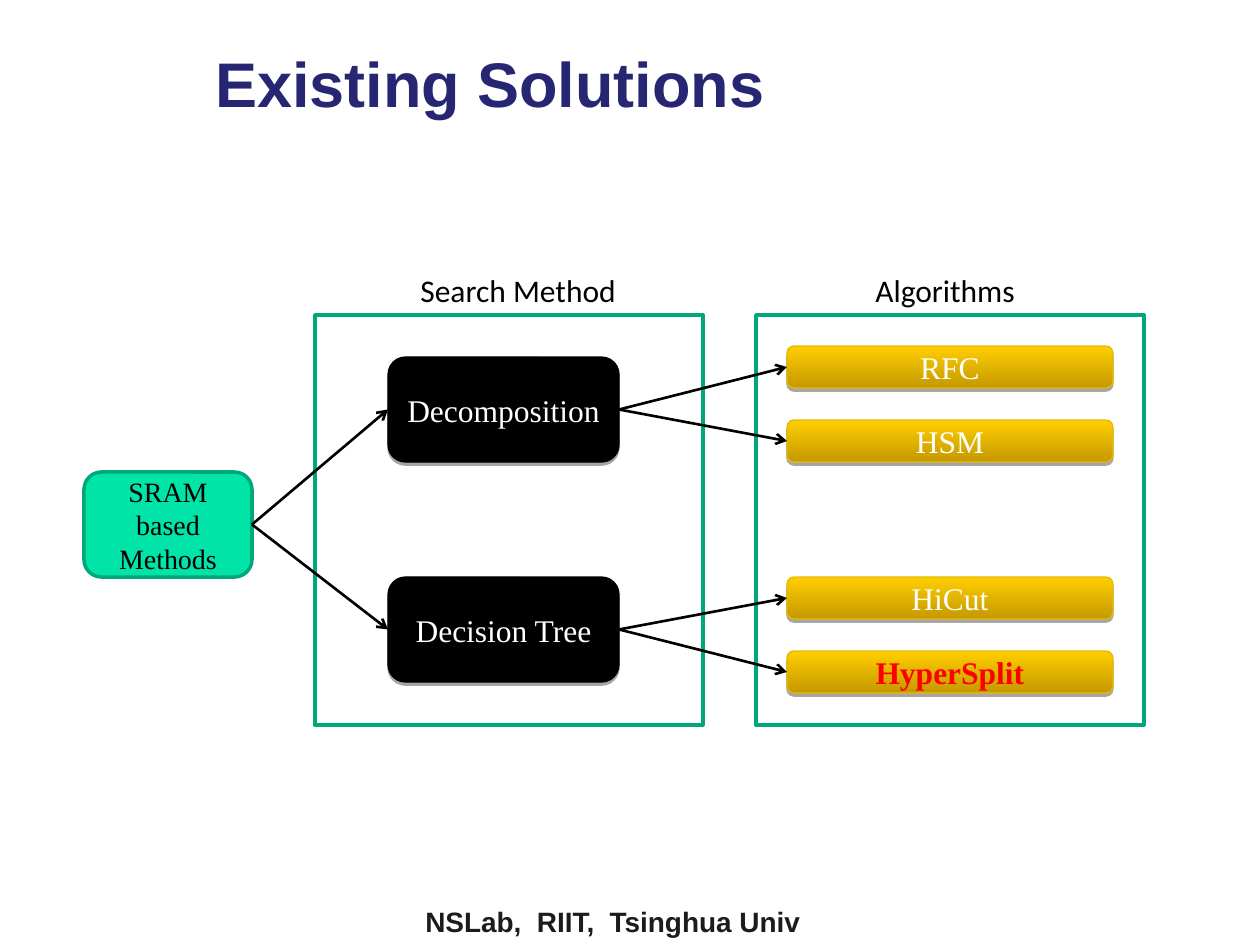
from lxml import etree
from pptx import Presentation
from pptx.dml.color import RGBColor
from pptx.enum.shapes import MSO_CONNECTOR, MSO_SHAPE
from pptx.enum.text import MSO_ANCHOR, PP_ALIGN
from pptx.oxml.ns import qn
from pptx.util import Emu, Pt

RECT, ROUND = MSO_SHAPE.RECTANGLE, MSO_SHAPE.ROUNDED_RECTANGLE
STRAIGHT = MSO_CONNECTOR.STRAIGHT
TOP, MIDDLE, BOTTOM = MSO_ANCHOR.TOP, MSO_ANCHOR.MIDDLE, MSO_ANCHOR.BOTTOM
LEFT, CENTER = PP_ALIGN.LEFT, PP_ALIGN.CENTER
LEFT_SIDE, RIGHT_SIDE = 1, 3

BLACK = RGBColor(0x00, 0x00, 0x00)
WHITE = RGBColor(0xFF, 0xFF, 0xFF)
RED = RGBColor(0xFF, 0x00, 0x00)
NAVY = RGBColor(0x26, 0x26, 0x73)
CHARCOAL = RGBColor(0x1C, 0x1C, 0x1C)
MINT = RGBColor(0x00, 0xE4, 0xA8)
GREEN = RGBColor(0x00, 0xA7, 0x7A)
GOLD_DARK = RGBColor(0xC5, 0x99, 0x00)
GOLD_LIGHT = RGBColor(0xFF, 0xCE, 0x00)
GOLD_LINE = RGBColor(0xE7, 0xBA, 0x00)

SERIF = "Times New Roman"
PX_PER_INCH = 126
FRAME_TOP, FRAME_W, FRAME_H = 315, 388, 410
METHOD_X, METHOD_W, METHOD_H = 388, 231, 105
ALGO_X, ALGO_W, ALGO_H = 787, 326, 42

FRAMES = [(315, "Search Method", 408, 221), (756, "Algorithms", 863, 165)]
# method, top, then its algorithms as (name, top, text colour, bold)
METHODS = [
    ("Decomposition", 357, [("RFC", 346, WHITE, False), ("HSM", 420, WHITE, False)]),
    ("Decision Tree", 577, [("HiCut", 577, WHITE, False), ("HyperSplit", 651, RED, True)]),
]


def px(n):
    return Emu(round(n * 914400 / PX_PER_INCH))


def write(shape, text, size, font, color, bold=False, align=LEFT, anchor=TOP):
    tf = shape.text_frame
    tf.vertical_anchor = anchor
    p = tf.paragraphs[0]
    p.alignment = align
    r = p.add_run()
    r.text = text
    r.font.size, r.font.name, r.font.bold = Pt(size), font, bold
    r.font.color.rgb = color


def add_label(s, box, text, size, font, color, bold=False, anchor=TOP, wrap=True):
    sp = s.shapes.add_textbox(*map(px, box))
    sp.text_frame.word_wrap = wrap
    write(sp, text, size, font, color, bold, anchor=anchor)


def add_outlined(s, kind, box, line, width):
    sp = s.shapes.add_shape(kind, *map(px, box))
    sp.shadow.inherit = False
    sp.line.color.rgb = line
    sp.line.width = Pt(width)
    return sp


def add_node(s, box, text, size, color, line, width=0.75, bold=False):
    sp = add_outlined(s, ROUND, box, line, width)
    write(sp, text, size, SERIF, color, bold, CENTER, MIDDLE)
    return sp


def fill_solid(sp, color):
    sp.fill.solid()
    sp.fill.fore_color.rgb = color


def fill_gold(sp):
    sp.fill.gradient()
    sp.fill.gradient_angle = 90
    for stop, color in zip(sp.fill.gradient_stops, (GOLD_DARK, GOLD_LIGHT)):
        stop.color.rgb = color


def drop_shadow(sp):
    effects = sp._element.spPr.find(qn("a:effectLst"))
    shadow = etree.SubElement(effects, qn("a:outerShdw"), blurRad="0",
                              dist=str(Pt(1.8)), dir="5400000", rotWithShape="0")
    color = etree.SubElement(shadow, qn("a:srgbClr"), val=str(BLACK))
    etree.SubElement(color, qn("a:alpha"), val="35000")


def add_arrow(s, source, target):
    c = s.shapes.add_connector(STRAIGHT, 0, 0, 0, 0)
    c.begin_connect(source, RIGHT_SIDE)
    c.end_connect(target, LEFT_SIDE)
    c.line.color.rgb = BLACK
    c.line.width = Pt(1.5)
    etree.SubElement(c.line._get_or_add_ln(), qn("a:tailEnd"), type="arrow")
    etree.SubElement(c._element.spPr, qn("a:effectLst"))


def add_tree(s):
    root = add_node(s, (84, 472, 168, 105), "SRAM based Methods", 16, BLACK, GREEN, 2)
    fill_solid(root, MINT)
    links = []
    for name, top, algorithms in METHODS:
        method = add_node(s, (METHOD_X, top, METHOD_W, METHOD_H), name, 18, WHITE, BLACK)
        fill_solid(method, BLACK)
        drop_shadow(method)
        links.append((root, method))
        for label, y, color, bold in algorithms:
            algo = add_node(s, (ALGO_X, y, ALGO_W, ALGO_H), label, 18, color,
                            GOLD_LINE, bold=bold)
            fill_gold(algo)
            drop_shadow(algo)
            links.append((method, algo))
    return links


def main():
    prs = Presentation()
    prs.slide_width, prs.slide_height = px(1260), px(945)
    s = prs.slides.add_slide(prs.slide_layouts[6])

    add_label(s, (413, 898, 444, 47), "NSLab,  RIIT,  Tsinghua Univ", 16, "Arial",
              CHARCOAL, bold=True)
    add_label(s, (203, 26, 1002, 100), "Existing Solutions", 36, "Arial", NAVY,
              bold=True, anchor=BOTTOM)
    links = add_tree(s)
    for x, *_ in FRAMES:
        frame = add_outlined(s, RECT, (x, FRAME_TOP, FRAME_W, FRAME_H), GREEN, 2)
        frame.fill.background()
    for source, target in links:
        add_arrow(s, source, target)
    for _, heading, x, width in FRAMES:
        add_label(s, (x, 265, width, 50), heading, 18, "Calibri", BLACK, wrap=False)

    prs.save("out.pptx")


if __name__ == "__main__":
    main()
